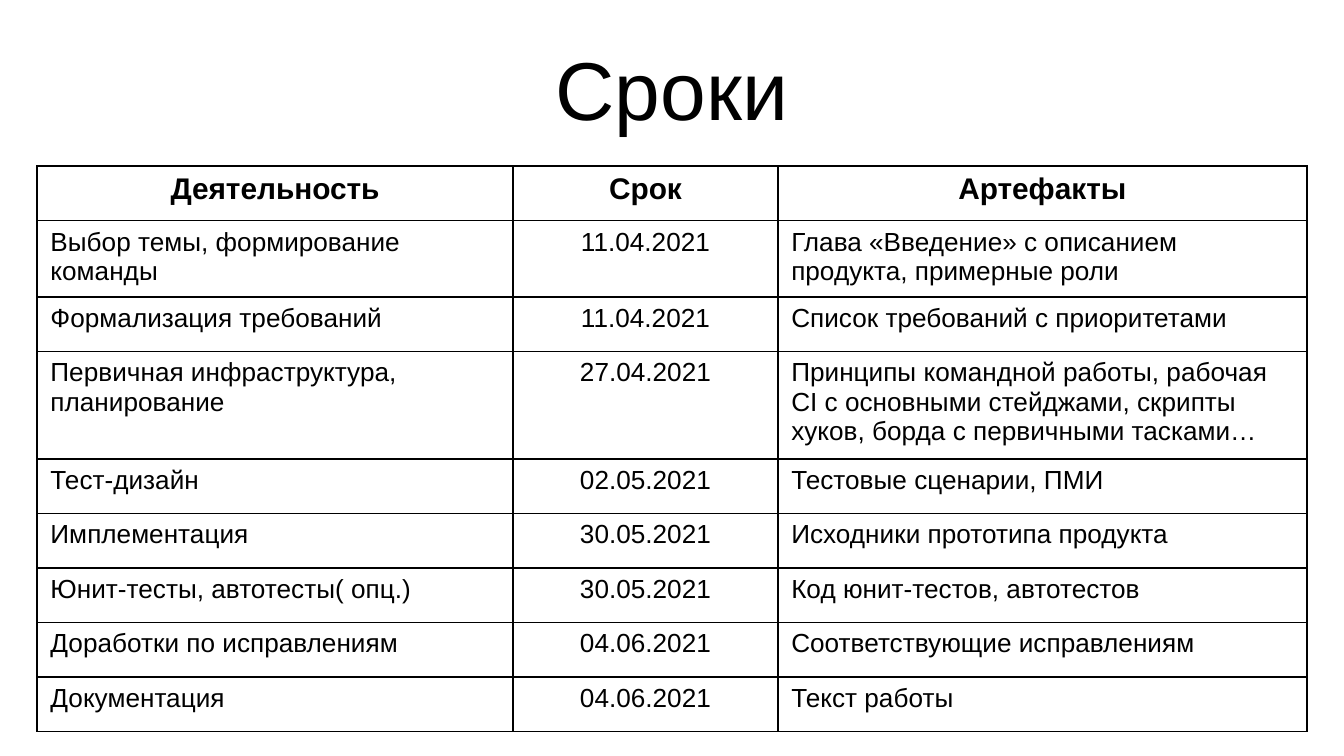
from dataclasses import dataclass

from lxml.etree import SubElement
from pptx import Presentation
from pptx.dml.color import RGBColor
from pptx.enum.text import MSO_ANCHOR, PP_ALIGN
from pptx.oxml.ns import qn
from pptx.util import Cm, Pt


@dataclass(frozen=True)
class Theme:
    font: str = "Arial"
    ink: str = "000000"
    title_size: int = 44
    header_size: int = 16
    body_size: int = 14
    border_width: int = 1


THEME = Theme()

HEADINGS = ("Деятельность", "Срок", "Артефакты")
STAGES = [
    ("Выбор темы, формирование команды", "11.04.2021",
     "Глава «Введение» с описанием продукта, примерные роли"),
    ("Формализация требований", "11.04.2021", "Список требований с приоритетами"),
    ("Первичная инфраструктура, планирование", "27.04.2021",
     "Принципы командной работы, рабочая CI с основными стейджами, "
     "скрипты хуков, борда с первичными тасками…"),
    ("Тест-дизайн", "02.05.2021", "Тестовые сценарии, ПМИ"),
    ("Имплементация", "30.05.2021", "Исходники прототипа продукта"),
    ("Юнит-тесты, автотесты( опц.)", "30.05.2021", "Код юнит-тестов, автотестов"),
    ("Доработки по исправлениям", "04.06.2021", "Соответствующие исправлениям"),
    ("Документация", "04.06.2021", "Текст работы"),
]
COLUMN_WIDTHS = (Cm(9), Cm(5), Cm(10))
DATE_COLUMN = 1
ROW_HEIGHT = Cm(1.03)


def write(frame, text, size, align, bold=False):
    paragraph = frame.paragraphs[0]
    paragraph.alignment = align
    run = paragraph.add_run()
    run.text = text
    run.font.name = THEME.font
    run.font.size = Pt(size)
    run.font.bold = bold
    run.font.color.rgb = RGBColor.from_string(THEME.ink)


def outline(cell):
    """Draw a solid border on all four sides of an unfilled cell."""
    properties = cell._tc.get_or_add_tcPr()
    for side in ("a:lnL", "a:lnR", "a:lnT", "a:lnB"):
        line = SubElement(properties, qn(side), w=str(Pt(THEME.border_width)))
        fill = SubElement(line, qn("a:solidFill"))
        SubElement(fill, qn("a:srgbClr"), val=THEME.ink)
    cell.fill.background()


def add_title(slide, left, top, width, height):
    frame = slide.shapes.add_textbox(left, top, width, height).text_frame
    frame.word_wrap = True
    frame.vertical_anchor = MSO_ANCHOR.MIDDLE
    write(frame, "Сроки", THEME.title_size, PP_ALIGN.CENTER)


def add_schedule(slide, left, top, width, height):
    rows = [HEADINGS, *STAGES]
    table = slide.shapes.add_table(
        len(rows), len(HEADINGS), left, top, width, height).table
    table.horz_banding = False
    for column, column_width in zip(table.columns, COLUMN_WIDTHS):
        column.width = column_width
    for r, texts in enumerate(rows):
        table.rows[r].height = ROW_HEIGHT
        is_header = r == 0
        size = THEME.header_size if is_header else THEME.body_size
        for c, text in enumerate(texts):
            centred = is_header or c == DATE_COLUMN
            cell = table.cell(r, c)
            outline(cell)
            write(cell.text_frame, text, size,
                  PP_ALIGN.CENTER if centred else PP_ALIGN.LEFT, is_header)


def main():
    deck = Presentation()
    deck.slide_width, deck.slide_height = Cm(25.4), Cm(14.29)
    slide = deck.slides.add_slide(deck.slide_layouts[6])
    add_title(slide, Cm(0.7), Cm(0.15), Cm(24), Cm(3))
    add_schedule(slide, Cm(0.7), Cm(3.14), sum(COLUMN_WIDTHS),
                 ROW_HEIGHT * (len(STAGES) + 1))
    deck.save("out.pptx")


if __name__ == "__main__":
    main()
